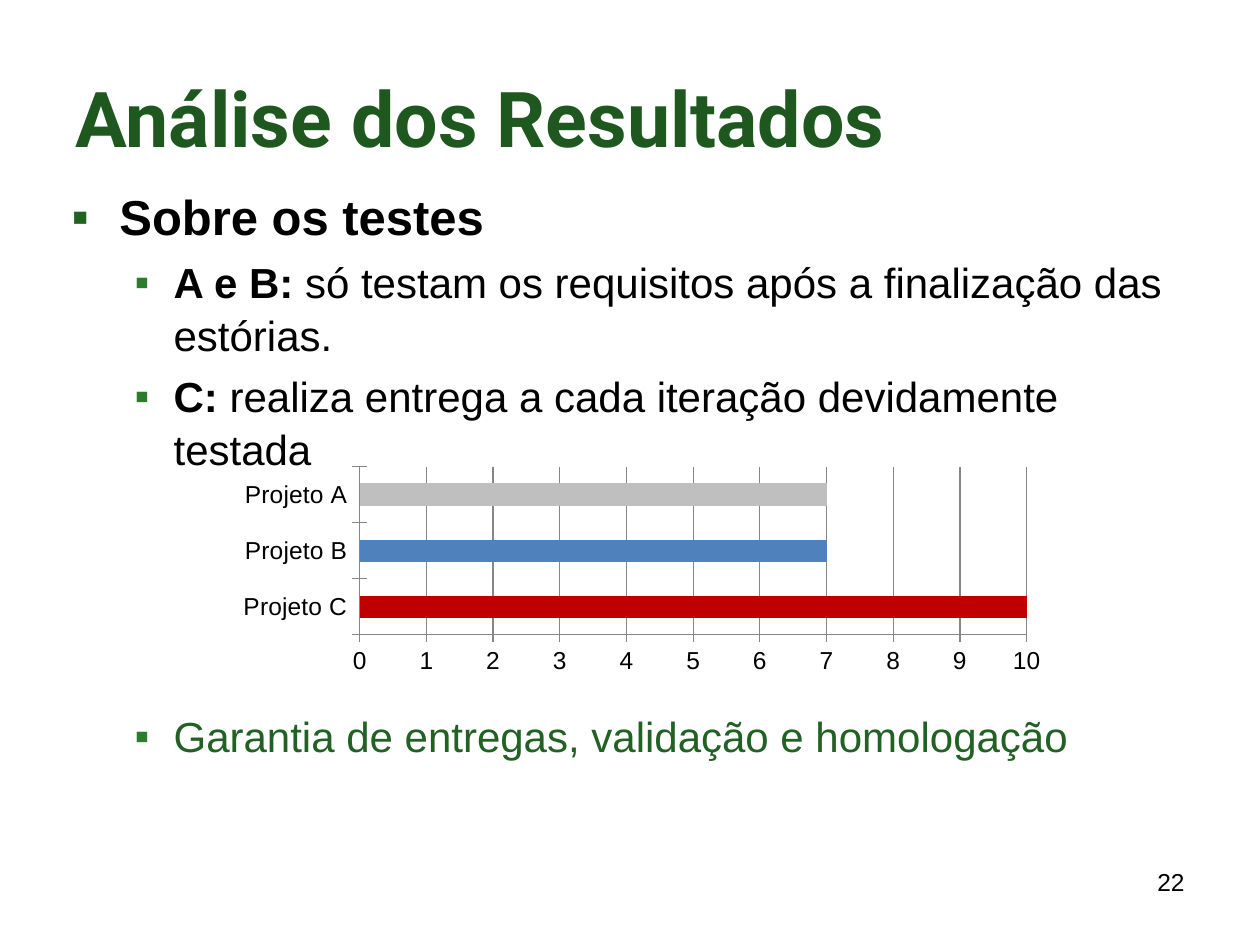
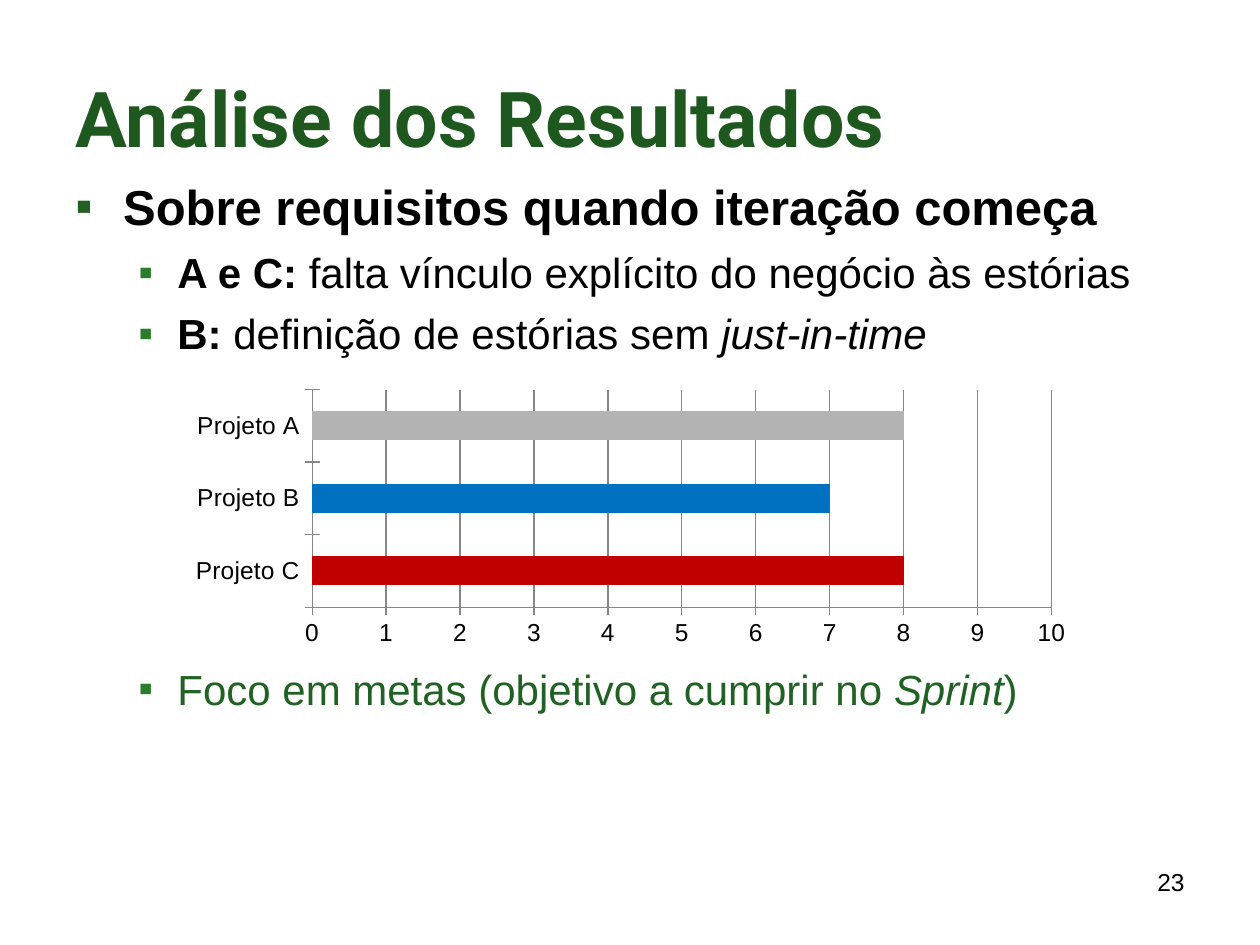
from dataclasses import dataclass

from lxml.etree import SubElement
from pptx import Presentation
from pptx.chart.data import CategoryChartData
from pptx.dml.color import RGBColor
from pptx.enum.chart import XL_CHART_TYPE, XL_TICK_MARK
from pptx.enum.text import MSO_ANCHOR, MSO_AUTO_SIZE, PP_ALIGN
from pptx.oxml.ns import qn
from pptx.util import Pt

SCALE = 9144


def px(*nums):
    """Turn px lengths into EMU."""
    return [num * SCALE for num in nums]


@dataclass(frozen=True)
class Theme:
    """Colours, fonts and type sizes of the deck."""
    head: str = "1E581F"
    dark: str = "216123"
    leaf: str = "2B7D2D"
    ink: str = "000000"
    grid: str = "868686"
    red: str = "C00000"
    face: str = "Arial"
    title: str = "Roboto"
    big: int = 44
    main: int = 28
    sub: int = 24
    small: int = 14
    lead: float = 1.05
    gap: float = 4.8


class Deck:
    """Holds the style and the slide being filled."""

    def __init__(self, theme):
        """Start an empty deck."""
        self.theme = theme
        self.file = Presentation()
        self.file.slide_width, self.file.slide_height = px(1000, 750)
        self.slide = None

    def style(self, font, size, color, face=None):
        """Set size, colour and face of a font."""
        font.size = Pt(size)
        font.name = face or self.theme.face
        font.color.rgb = RGBColor.from_string(color)

    def page(self, title, num):
        """Add a slide with its title and number."""
        look = self.theme
        self.slide = self.file.slides.add_slide(self.file.slide_layouts[5])
        head = self.slide.shapes.title
        head.left, head.top, head.width, head.height = px(50, 30, 900, 125)
        frame = head.text_frame
        frame.text = title
        frame.auto_size = MSO_AUTO_SIZE.NONE
        frame.vertical_anchor = MSO_ANCHOR.MIDDLE
        para = frame.paragraphs[0]
        para.alignment = PP_ALIGN.LEFT
        self.style(para.font, look.big, look.head, look.title)
        para.font.bold = True
        foot = self.box(717, 683, 233, 52).paragraphs[0]
        foot.text = str(num)
        foot.alignment = PP_ALIGN.RIGHT
        self.style(foot.font, look.small, look.ink)

    def box(self, *area):
        """Add a wrapping text box and return its frame."""
        frame = self.slide.shapes.add_textbox(*px(*area)).text_frame
        frame.word_wrap = True
        return frame

    def bullet(self, para, color, left, hang):
        """Give a paragraph a square bullet."""
        props = para._p.get_or_add_pPr()
        left, hang = px(left, hang)
        props.set("marL", str(left))
        props.set("indent", str(-hang))
        tint = SubElement(props, qn("a:buClr"))
        SubElement(tint, qn("a:srgbClr"), val=color)
        SubElement(props, qn("a:buFont"), typeface=self.theme.face)
        SubElement(props, qn("a:buChar"), char="▪")

    def item(self, para, runs, size, color):
        """Fill a paragraph with (text, marks) runs."""
        para.line_spacing = self.theme.lead
        for text, marks in runs:
            run = para.add_run()
            run.text = text
            if "b" in marks:
                run.font.bold = True
            if "i" in marks:
                run.font.italic = True
        self.style(para.font, size, color)

    def body(self, area, topic, points, close, room):
        """Add a topic, its points and a close set below the chart."""
        look = self.theme
        frame = self.box(*area)
        para = frame.paragraphs[0]
        self.bullet(para, look.dark, 38, 38)
        self.item(para, [(topic, "b")], look.main, look.ink)
        rows = [(runs, look.ink, look.gap) for runs in points]
        for runs, color, space in rows + [(close, look.dark, room)]:
            para = frame.add_paragraph()
            para.space_before = Pt(space)
            self.bullet(para, look.leaf, 81, 31)
            self.item(para, runs, look.sub, color)

    def chart(self, area, scores):
        """Add a bar chart from (name, value, colour) rows, bottom first."""
        look = self.theme
        names, nums, fills = zip(*scores)
        data = CategoryChartData()
        data.categories = names
        data.add_series("Series 1", nums)
        chart = self.slide.shapes.add_chart(
            XL_CHART_TYPE.BAR_CLUSTERED, *px(*area), data).chart
        chart.has_legend = chart.has_title = False
        self.style(chart.font, look.small, look.ink)
        plot = chart.plots[0]
        plot.gap_width = 150
        plot.vary_by_categories = False
        for spot, fill in enumerate(fills):
            paint = plot.series[0].points[spot].format.fill
            paint.solid()
            paint.fore_color.rgb = RGBColor.from_string(fill)
        axis = chart.value_axis
        axis.minimum_scale, axis.maximum_scale, axis.major_unit = 0, 10, 1
        axis.has_major_gridlines = True
        lines = [axis.major_gridlines.format.line]
        for side in (axis, chart.category_axis):
            side.major_tick_mark = XL_TICK_MARK.CROSS
            side.minor_tick_mark = XL_TICK_MARK.NONE
            lines.append(side.format.line)
        for line in lines:
            line.color.rgb = RGBColor.from_string(look.grid)
            line.width = Pt(0.75)


def main():
    """Build the two result slides."""
    look = Theme()
    deck = Deck(look)
    title = "Análise dos Resultados"

    deck.page(title, 22)
    deck.body(
        (47, 141, 900, 495), "Sobre os testes",
        [[("A e B: ", "b"),
          ("só testam os requisitos após a finalização das estórias.", "")],
         [("C: ", "b"),
          ("realiza entrega a cada iteração devidamente testada", "")]],
        [("Garantia de entregas, validação e homologação", "")], 134)
    deck.chart((180, 367, 659, 172), [
        ("Projeto C", 10, look.red),
        ("Projeto B", 7, "4F81BD"),
        ("Projeto A", 7, "BFBFBF")])

    deck.page(title, 23)
    deck.body(
        (50, 133, 900, 537), "Sobre requisitos quando iteração começa",
        [[("A e C: ", "b"),
          ("falta vínculo explícito do negócio às estórias", "")],
         [("B: ", "b"), ("definição de estórias sem ", ""),
          ("just-in-time", "i")]],
        [("Foco em metas (objetivo a cumprir no ", ""), ("Sprint", "i"),
         (")", "")], 173)
    deck.chart((141, 305, 719, 213), [
        ("Projeto C", 8, look.red),
        ("Projeto B", 7, "0070C0"),
        ("Projeto A", 8, "B3B3B3")])

    deck.file.save("out.pptx")


if __name__ == "__main__":
    main()
